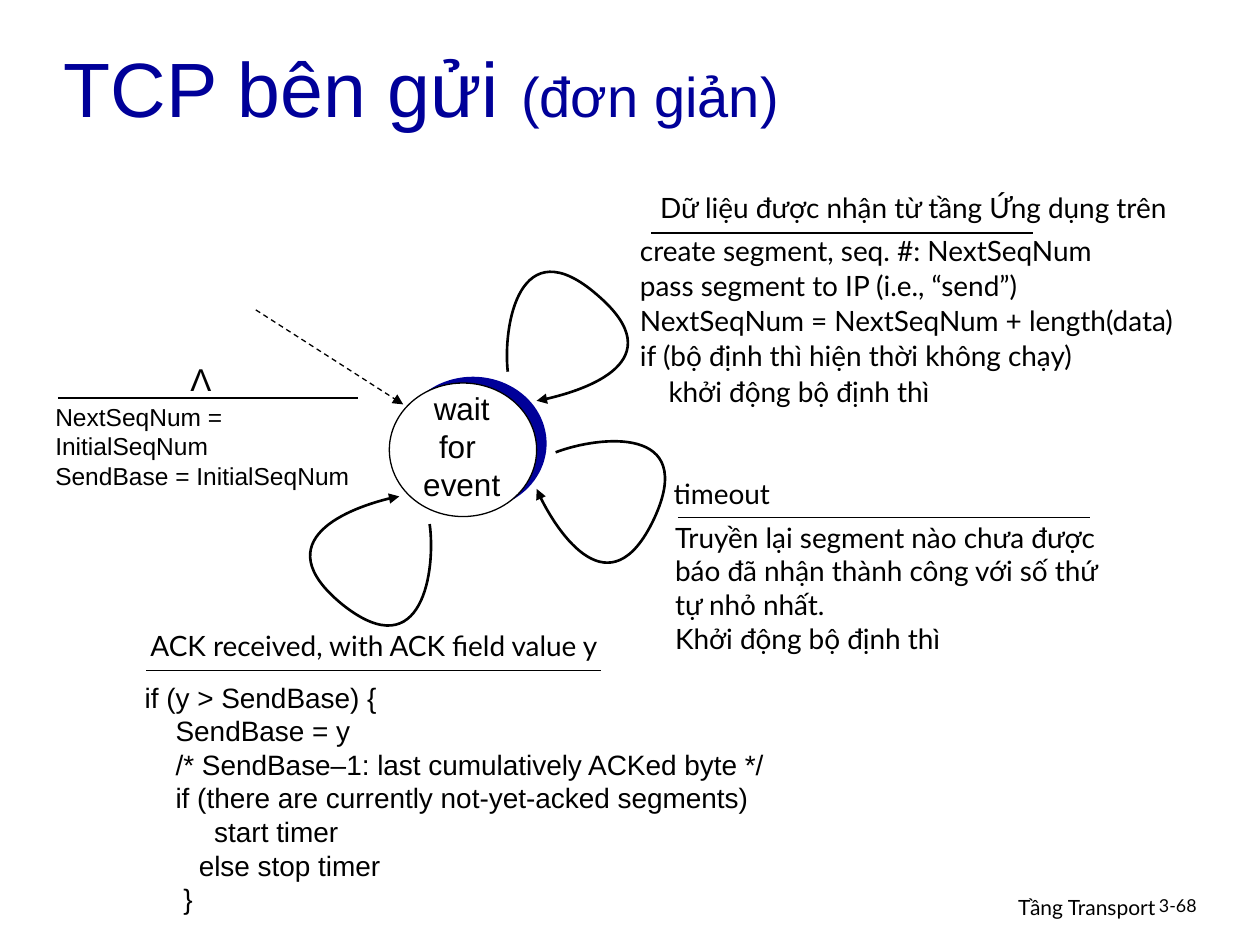
import pptx
import pptx.util
import pptx.dml.color
import pptx.enum.dml
import pptx.enum.shapes
import pptx.enum.text
import pptx.oxml
import pptx.oxml.ns

Pt = pptx.util.Pt
qn = pptx.oxml.ns.qn
RGB = pptx.dml.color.RGBColor.from_string
ALIGN = pptx.enum.text.PP_ALIGN
COLORS = {"navy": "000099", "black": "000000", "white": "FFFFFF"}

prs = pptx.Presentation()
prs.slide_width, prs.slide_height = Pt(720), Pt(540)
slide = prs.slides.add_slide(prs.slide_layouts[6])
shapes = slide.shapes


def add_text(box, lines, size, font="Lato", align=ALIGN.LEFT, wrap=False,
             spacing=None, color="black"):
    tf = shapes.add_textbox(*map(Pt, box)).text_frame
    tf.word_wrap = wrap
    for i, line in enumerate(lines):
        p = tf.paragraphs[0] if i == 0 else tf.add_paragraph()
        p.text = line
        p.alignment = align
        p.line_spacing = spacing
        p.font.name = font
        p.font.size = Pt(size)
        p.font.color.rgb = RGB(COLORS[color])
    return tf


def style_line(sp, width, arrow=False):
    sp.line.color.rgb = RGB(COLORS["black"])
    sp.line.width = Pt(width)
    if arrow:
        tail = sp.line._get_or_add_ln().makeelement(qn("a:tailEnd"), {"type": "triangle"})
        sp.line._get_or_add_ln().append(tail)


# Footer
add_text((439.2, 507.6, 228.2, 22.3), ["Tầng Transport"], 12, align=ALIGN.RIGHT, wrap=True)
add_text((655.2, 509, 53.3, 21.6), ["3-68"], 10.2, wrap=True, spacing=0.9)

# Title
tf = add_text((29.5, 14.4, 609, 70.6), ["TCP bên gửi "], 44, "Arial", wrap=True, color="navy")
tf.vertical_anchor = pptx.enum.text.MSO_ANCHOR.MIDDLE
r = tf.paragraphs[0].add_run()
r.text = "(đơn giản)"
r.font.size = Pt(32)

# State circle with its offset backing
for x, y, fill in [(228.2, 215.3, "navy"), (222.5, 218.9, "white")]:
    sp = shapes.add_shape(pptx.enum.shapes.MSO_SHAPE.OVAL, Pt(x), Pt(y), Pt(84.2), Pt(76.3))
    sp.shadow.inherit = False
    sp.fill.solid()
    sp.fill.fore_color.rgb = RGB(COLORS[fill])
    if fill == "white":
        style_line(sp, 0.75)
    else:
        sp.line.fill.background()
add_text((234.7, 218.9, 58.3, 72), ["wait", "for ", "event"], 18, "Arial", ALIGN.CENTER)

# Initial transition
add_text((101.5, 202.3, 26.6, 28.8), ["Λ"], 18, "Arial", ALIGN.CENTER)
add_text((24.5, 226.1, 200.9, 41),
         ["NextSeqNum = InitialSeqNum", "SendBase = InitialSeqNum"], 14, "Arial")

# Data received from above
add_text((358.6, 105.1, 326.9, 26.6), ["Dữ liệu được nhận từ tầng Ứng dụng trên"],
         16, align=ALIGN.CENTER)
add_text((358.6, 128.9, 344.2, 127.4), [
    "create segment, seq. #: NextSeqNum",
    "pass segment to IP (i.e., “send”)",
    "NextSeqNum = NextSeqNum + length(data)",
    "if (bộ định thì hiện thời không chạy)",
    "    khởi động bộ định thì",
], 16, spacing=1.05)

# Timeout
add_text((375.8, 268.6, 73.4, 26.6), ["timeout"], 16, align=ALIGN.CENTER)
add_text((378.7, 293.8, 259.2, 84.2), [
    "Truyền lại segment nào chưa được báo đã nhận thành công với số thứ tự nhỏ nhất.",
    "Khởi động bộ định thì",
], 16, wrap=True)

# ACK received
add_text((73.4, 355.7, 284.4, 26.6), ["ACK received, with ACK field value y "],
         16, align=ALIGN.CENTER)
add_text((75.6, 385.2, 369.4, 141.8), [
    "if (y > SendBase) {",
    "    SendBase = y",
    "    /* SendBase–1: last cumulatively ACKed byte */",
    "    if (there are currently not-yet-acked segments)",
    "         start timer",
    "       else stop timer",
    "     }",
], 16, "Arial")

# Event/action rules and the dashed entry arrow
entry = (146.2, 177.1, 230.4, 231.1)
rules = [(33.1, 227.5, 204.5, 227.5), (372.2, 133.2, 590.4, 133.2),
         (387.4, 295.9, 622.8, 295.9), (83.5, 383, 343.4, 383)]
for ends in [entry] + rules:
    sp = shapes.add_connector(pptx.enum.shapes.MSO_CONNECTOR.STRAIGHT, *map(Pt, ends))
    if ends == entry:
        sp.line.dash_style = pptx.enum.dml.MSO_LINE.DASH
    style_line(sp, 0.75, arrow=ends == entry)
    sp._element.spPr.append(sp._element.makeelement(qn("a:effectLst"), {}))

# Self-loops: a start point, then three points for each Bezier curve
loops = [
    [(290.2, 212.4), (287.3, 186.5), (296.6, 129.6), (341.3, 168.5),
     (385.9, 206.6), (325.4, 226.1), (306.7, 229)],
    [(317.5, 258.5), (342, 249.1), (398.9, 242.6), (373.7, 296.6),
     (348.5, 349.9), (313.2, 296.6), (306.7, 279.4)],
    [(245.5, 299.5), (249.1, 324.7), (241.9, 382.3), (195.8, 345.6),
     (149.8, 308.2), (209.5, 286.6), (228.2, 283.7)],
]
for points in loops:
    points = [(Pt(x), Pt(y)) for x, y in points]
    fb = shapes.build_freeform(*points[0])
    fb.add_line_segments(points[1:], close=False)
    sp = fb.convert_to_shape()
    sp.shadow.inherit = False
    sp.fill.background()
    style_line(sp, 1.5, arrow=True)
    # Turn each three line segments into one cubic curve
    segments = list(sp._element.iter(qn("a:lnTo")))
    for i in range(0, len(segments), 3):
        curve = sp._element.makeelement(qn("a:cubicBezTo"), {})
        segments[i].addprevious(curve)
        for segment in segments[i:i + 3]:
            curve.append(segment[0])
            segment.getparent().remove(segment)

prs.save("out.pptx")
